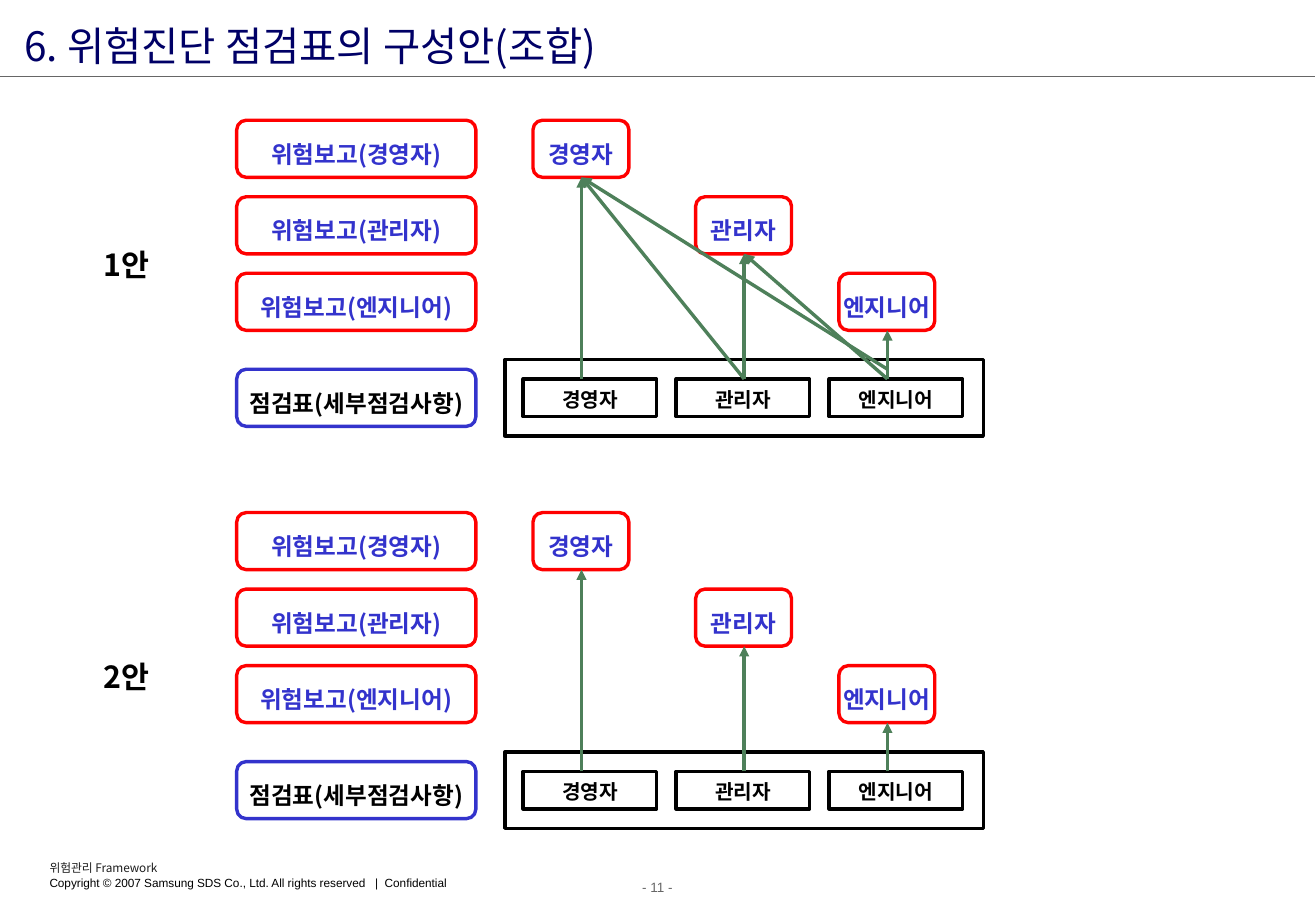
"""Build the slide that compares two ways of combining the risk checklists."""
import lxml.etree
import pptx
import pptx.dml.color
import pptx.enum.shapes
import pptx.enum.text
import pptx.oxml.ns
import pptx.util
from pptx.util import Inches

THEME = {
    "korean": "Noto Sans CJK KR", "latin": "Arial",
    "navy": "000066", "blue": "3333CC", "red": "FF0000", "green": "4E805A",
    "black": "000000", "white": "FFFFFF", "gray": "666666", "dark": "1C1C1C",
    "title": 24, "plan": 18, "report": 14, "check": 12, "page": 8, "footer": 7,
    "line": 2, "rule": 0.75,
}
SHAPES = pptx.enum.shapes.MSO_SHAPE
ALIGN = pptx.enum.text.PP_ALIGN
ANCHOR = pptx.enum.text.MSO_ANCHOR
RGB = pptx.dml.color.RGBColor.from_string
qn = pptx.oxml.ns.qn


def write(p, text, size, color, font="korean", bold=False, align=ALIGN.LEFT, spacing=1.0):
    """Put one formatted run of text in a paragraph."""
    p.text = text
    p.alignment = align
    p.line_spacing = spacing
    r = p.runs[0]
    r.font.size = pptx.util.Pt(THEME[size])
    r.font.bold = bold
    r.font.color.rgb = RGB(THEME[color])
    r.font.name = THEME[font]
    ea = lxml.etree.SubElement(r._r.get_or_add_rPr(), qn("a:ea"))
    ea.set("typeface", THEME[font])


def box(kind, x, y, w, h, line, text="", size="report", color="blue", spacing=1.35):
    """Add an outlined box with an optional centred label."""
    sp = s.shapes.add_shape(kind, Inches(x), Inches(y), Inches(w), Inches(h))
    sp.shadow.inherit = False
    sp.fill.background()
    sp.line.color.rgb = RGB(THEME[line])
    sp.line.width = pptx.util.Pt(THEME["line"])
    if text:
        tf = sp.text_frame
        tf.margin_left = tf.margin_right = tf.margin_top = tf.margin_bottom = 0
        tf.word_wrap = False
        tf.vertical_anchor = ANCHOR.MIDDLE
        write(tf.paragraphs[0], text, size, color, bold=True, align=ALIGN.CENTER, spacing=spacing)
    return sp


prs = pptx.Presentation()
prs.slide_width, prs.slide_height = Inches(10.84), Inches(7.5)
s = prs.slides.add_slide(prs.slide_layouts[6])

tf = s.shapes.add_textbox(Inches(0), Inches(7.19), Inches(10.83), Inches(0.24)).text_frame
tf.word_wrap = True
write(tf.paragraphs[0], "- 11 -", "page", "gray", "latin", align=ALIGN.CENTER)

tf = s.shapes.add_textbox(Inches(0.31), Inches(7.04), Inches(4.16), Inches(0.34)).text_frame
tf.word_wrap = True
write(tf.paragraphs[0], "위험관리 Framework", "footer", "dark")
write(tf.add_paragraph(),
      "Copyright © 2007 Samsung SDS Co., Ltd. All rights reserved   |  Confidential",
      "footer", "black", "latin")

tf = s.shapes.add_textbox(Inches(0.16), Inches(0.13), Inches(7.93), Inches(0.44)).text_frame
tf.word_wrap = True
tf.margin_left = tf.margin_right = Inches(0.04)
tf.margin_top = tf.margin_bottom = 0
write(tf.paragraphs[0], "6. 위험진단 점검표의 구성안(조합)", "title", "navy", spacing=1.1)

ROLES = [("경영자", 4.79), ("관리자", 6.13), ("엔지니어", 7.31)]
ROW_STEP, ROW_HEIGHT, ROLE_WIDTH = 0.63, 0.47, 0.79
CHECK_TOP = 2.13
straight = [(i, i, CHECK_TOP) for i in range(len(ROLES))]
crossing = [(2, 1, CHECK_TOP), (1, 0, CHECK_TOP), (2, 0, 2.05)]
plans = [("1안", 0.99, 1.86, straight + crossing), ("2안", 4.22, 5.25, straight)]
lines = [(0, 0.63, 10.83, 0.63, "gray", "rule", False)]

for plan, top, label_top, links in plans:
    tf = s.shapes.add_textbox(Inches(0.53), Inches(label_top), Inches(1.02), Inches(0.63)).text_frame
    tf.word_wrap = True
    tf.vertical_anchor = ANCHOR.MIDDLE
    write(tf.paragraphs[0], plan, "plan", "black", bold=True, align=ALIGN.CENTER)

    box(SHAPES.RECTANGLE, 4.16, top + 1.97, 3.94, 0.63, "black")
    for i, (role, center) in enumerate(ROLES):
        y = top + i * ROW_STEP
        box(SHAPES.FLOWCHART_ALTERNATE_PROCESS, 1.95, y, 1.97, ROW_HEIGHT, "red", f"위험보고({role})")
        box(SHAPES.FLOWCHART_ALTERNATE_PROCESS, center - 0.4, y, ROLE_WIDTH, ROW_HEIGHT, "red", role)
        box(SHAPES.RECTANGLE, 4.31 + i * 1.26, top + CHECK_TOP, 1.1, 0.31, "black",
            role, "check", "black", 1.1)
    sp = box(SHAPES.FLOWCHART_ALTERNATE_PROCESS, 1.95, top + 2.05, 1.97, ROW_HEIGHT, "blue",
             "점검표(세부점검사항)", color="black")
    sp.fill.solid()
    sp.fill.fore_color.rgb = RGB(THEME["white"])

    for start, end, offset in links:
        lines.append((ROLES[start][1], top + offset, ROLES[end][1],
                      top + end * ROW_STEP + ROW_HEIGHT, "green", "line", True))

for x1, y1, x2, y2, color, width, arrow in lines:
    c = s.shapes.add_connector(pptx.enum.shapes.MSO_CONNECTOR.STRAIGHT,
                               Inches(x1), Inches(y1), Inches(x2), Inches(y2))
    c.line.color.rgb = RGB(THEME[color])
    c.line.width = pptx.util.Pt(THEME[width])
    if arrow:
        tail = lxml.etree.SubElement(c.line._get_or_add_ln(), qn("a:tailEnd"))
        tail.set("type", "triangle")
    lxml.etree.SubElement(c._element.spPr, qn("a:effectLst"))

prs.save("out.pptx")
